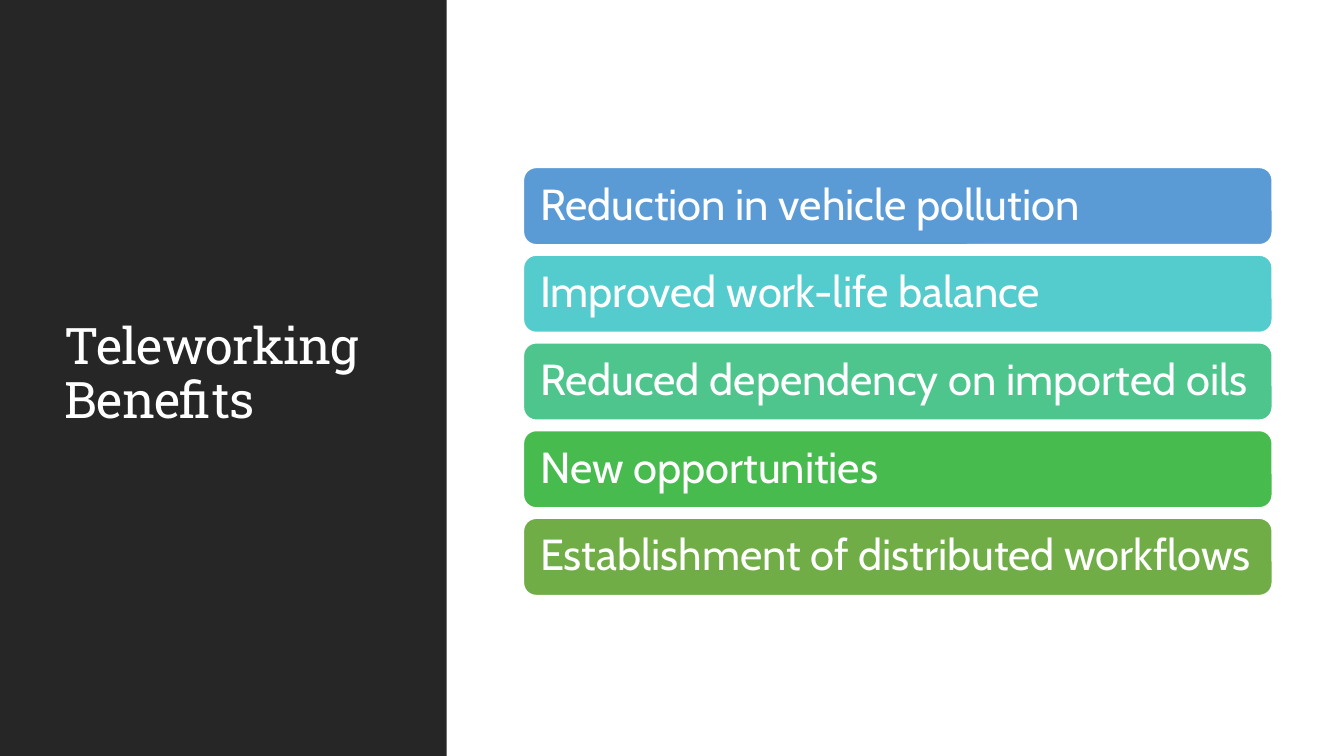
import dataclasses

import pptx
import pptx.dml.color
import pptx.enum.shapes
import pptx.enum.text
import pptx.util

EMU_PER_PX = 9144
SLIDE_WIDTH, SLIDE_HEIGHT = 1333, 750
PANEL_WIDTH = 443
BENEFIT_LEFT, BENEFIT_TOP = 519, 166
BENEFIT_WIDTH, BENEFIT_HEIGHT = 743, 77
BENEFIT_PITCH = 87
DARK = "262626"
WHITE = "FFFFFF"


@dataclasses.dataclass(frozen=True)
class Benefit:
    text: str
    color: str


BENEFITS = [
    Benefit("Reduction in vehicle pollution", "5B9BD5"),
    Benefit("Improved work-life balance", "54CCCD"),
    Benefit("Reduced dependency on imported oils", "4DC58D"),
    Benefit("New opportunities", "48BB4F"),
    Benefit("Establishment of distributed workflows", "70AD47"),
]


def px(length: int) -> pptx.util.Emu:
    return pptx.util.Emu(length * EMU_PER_PX)


def rgb(color: str) -> pptx.dml.color.RGBColor:
    return pptx.dml.color.RGBColor.from_string(color)


def write_text(shape, text: str, *, font: str, size: int, color: str = WHITE,
               left_inset: int = 10, right_inset: int = 10,
               spacing: int = 0) -> None:
    frame = shape.text_frame
    frame.word_wrap = True
    frame.auto_size = pptx.enum.text.MSO_AUTO_SIZE.NONE
    frame.vertical_anchor = pptx.enum.text.MSO_ANCHOR.MIDDLE
    frame.margin_left, frame.margin_right = px(left_inset), px(right_inset)
    paragraph = frame.paragraphs[0]
    paragraph.alignment = pptx.enum.text.PP_ALIGN.LEFT
    paragraph.line_spacing = 0.9
    run = paragraph.add_run()
    run.text = text
    run.font.name = font
    run.font.size = pptx.util.Pt(size)
    run.font.color.rgb = rgb(color)
    if spacing:
        run.font._element.set("spc", str(spacing))


def add_block(slide, kind, left: int, top: int, width: int, height: int,
              fill: str):
    block = slide.shapes.add_shape(kind, px(left), px(top), px(width), px(height))
    block.shadow.inherit = False
    block.fill.solid()
    block.fill.fore_color.rgb = rgb(fill)
    block.line.fill.background()
    return block


def add_heading(slide) -> None:
    panel = add_block(slide, pptx.enum.shapes.MSO_SHAPE.RECTANGLE,
                      0, 0, PANEL_WIDTH, SLIDE_HEIGHT, DARK)
    heading = slide.shapes.title
    heading.element.addprevious(panel.element)
    heading.left, heading.top = px(54), px(57)
    heading.width, heading.height = px(337), px(631)
    write_text(heading, "Teleworking Benefits", font="Roboto Slab", size=36,
               spacing=-50)


def add_benefit(slide, benefit: Benefit, top: int) -> None:
    bar = add_block(slide, pptx.enum.shapes.MSO_SHAPE.ROUNDED_RECTANGLE,
                    BENEFIT_LEFT, top, BENEFIT_WIDTH, BENEFIT_HEIGHT,
                    benefit.color)
    bar.line.color.rgb = rgb(WHITE)
    bar.line.width = pptx.util.Pt(1.25)
    write_text(bar, benefit.text, font="Cabin", size=31,
               left_inset=13, right_inset=5)


def main() -> None:
    presentation = pptx.Presentation()
    presentation.slide_width = px(SLIDE_WIDTH)
    presentation.slide_height = px(SLIDE_HEIGHT)
    title_only = presentation.slide_layouts.get_by_name("Title Only")
    slide = presentation.slides.add_slide(title_only)
    add_heading(slide)
    for row, benefit in enumerate(BENEFITS):
        add_benefit(slide, benefit, BENEFIT_TOP + row * BENEFIT_PITCH)
    presentation.save("out.pptx")


if __name__ == "__main__":
    main()
